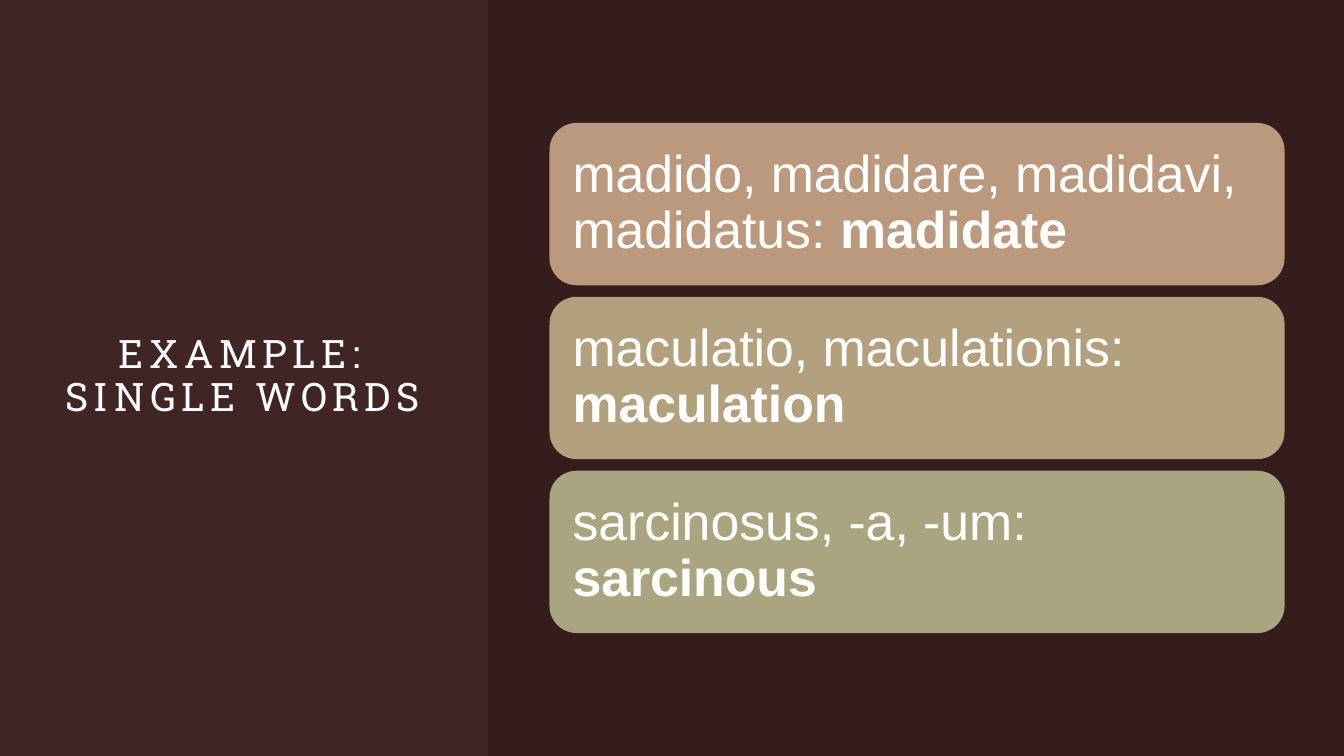
"""Build a slide that pairs Latin words with their English derivatives."""
from pptx import Presentation
from pptx.dml.color import RGBColor as RGB
from pptx.enum.shapes import MSO_SHAPE as Shape
from pptx.enum.text import MSO_ANCHOR as Anchor, PP_ALIGN as Align
from pptx.oxml.ns import qn
from pptx.util import Inches, Pt
from lxml.etree import SubElement

COLORS = {
    "back": "412524",
    "shade": "000000",
    "text": "FFFFFF",
    "rose": "BA997F",
    "sand": "B2A07F",
    "sage": "AAA480",
}
WORDS = [
    ("madido, madidare, madidavi, madidatus: ", "madidate", "rose"),
    ("maculatio, maculationis: ", "maculation", "sand"),
    ("sarcinosus, -a, -um: ", "sarcinous", "sage"),
]


def add_block(kind, left, top, width, height, color):
    block = slide.shapes.add_shape(
        kind, Inches(left), Inches(top), Inches(width), Inches(height))
    block.shadow.inherit = False
    block.fill.solid()
    block.fill.fore_color.rgb = RGB.from_string(COLORS[color])
    block.line.fill.background()
    return block


def set_frame(frame, inset, align):
    frame.word_wrap = True
    frame.vertical_anchor = Anchor.MIDDLE
    frame.margin_left = frame.margin_right = Inches(inset)
    frame.margin_top = frame.margin_bottom = Inches(inset)
    para = frame.paragraphs[0]
    para.alignment = align
    para.line_spacing = 0.9
    return para


deck = Presentation()
deck.slide_width, deck.slide_height = Inches(13.33), Inches(7.5)
slide = deck.slides.add_slide(deck.slide_layouts[6])
slide.background.fill.solid()
slide.background.fill.fore_color.rgb = RGB.from_string(COLORS["back"])

title = slide.shapes.add_textbox(
    Inches(0.59), Inches(1.18), Inches(3.63), Inches(5.13))
para = set_frame(title.text_frame, 0, Align.CENTER)
para.text = "EXAMPLE: SINGLE WORDS"
run = para.runs[0]
run.font.name, run.font.size = "Roboto Slab", Pt(28)
run.font.color.rgb = RGB.from_string(COLORS["text"])
run.font._element.set("spc", "400")

panel = add_block(Shape.RECTANGLE, 4.84, 0, 8.49, 7.5, "shade")
tint = panel.fill._xPr.find(qn("a:solidFill"))[0]
SubElement(tint, qn("a:alpha")).set("val", "20000")

for row, (latin, english, color) in enumerate(WORDS):
    card = add_block(
        Shape.ROUNDED_RECTANGLE, 5.45, 1.22 + row * 1.725, 7.29, 1.61, color)
    para = set_frame(card.text_frame, 0.15, Align.LEFT)
    for text in (latin, english):
        run = para.add_run()
        run.text = text
        run.font.name, run.font.size = "Arial", Pt(37)
        run.font.bold = text == english
        run.font.color.rgb = RGB.from_string(COLORS["text"])

deck.save("out.pptx")
